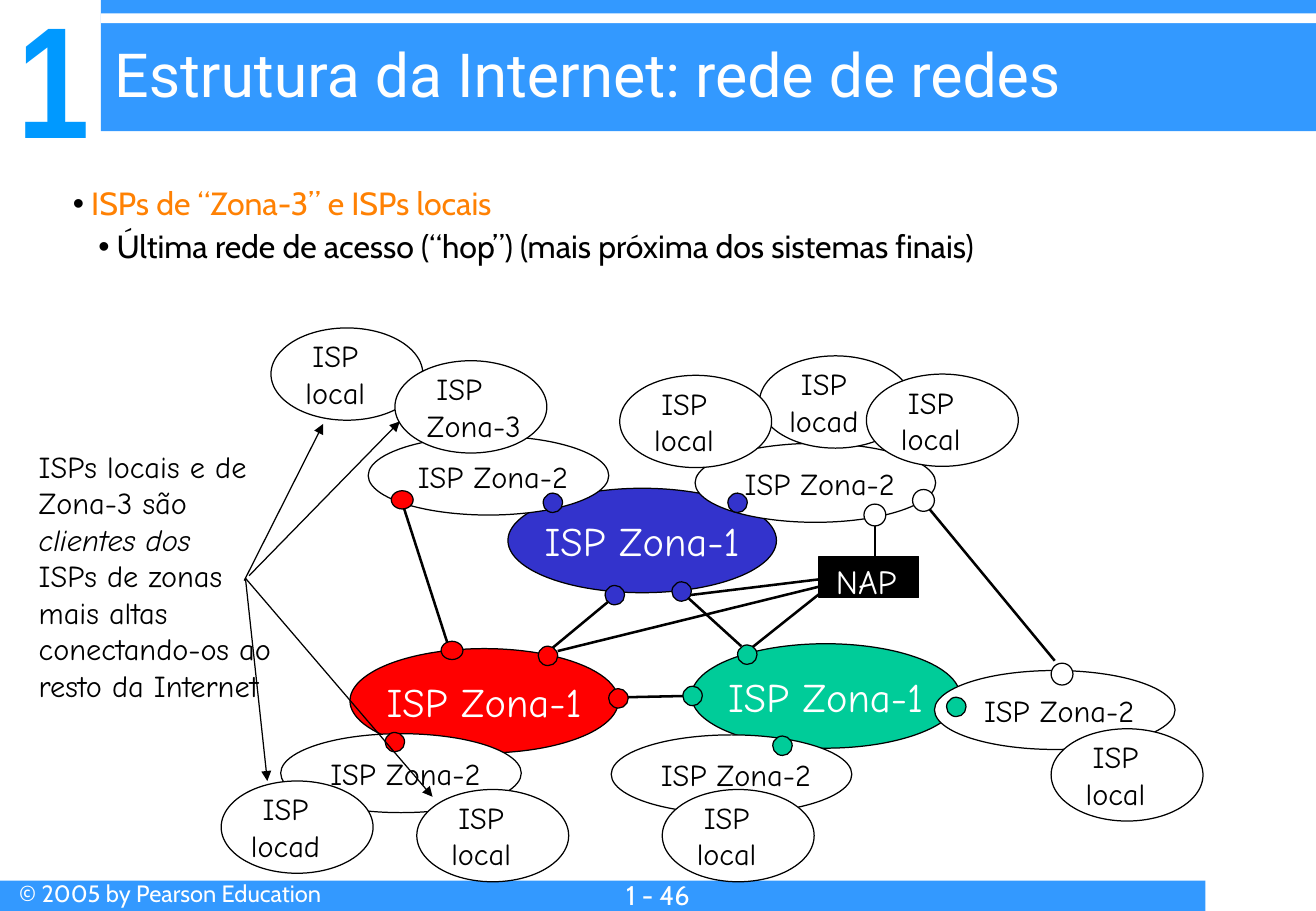
from lxml.etree import SubElement
from pptx import Presentation
from pptx.dml.color import RGBColor
from pptx.enum.shapes import MSO_CONNECTOR as Link, MSO_SHAPE as Kind
from pptx.enum.text import MSO_ANCHOR as Anchor, MSO_AUTO_SIZE as Fit, PP_ALIGN as Align
from pptx.oxml.ns import qn
from pptx.util import Inches, Pt

WHITE = RGBColor(0xFF, 0xFF, 0xFF)
BLACK = RGBColor(0, 0, 0)
SKY = RGBColor(0x33, 0x99, 0xFF)
AZURE = RGBColor(0, 0x99, 0xFF)
ORANGE = RGBColor(0xFF, 0x81, 0x03)
RED = RGBColor(0xFF, 0, 0)
BLUE = RGBColor(0x33, 0x33, 0xCC)
GREEN = RGBColor(0, 0xCC, 0x99)
COMIC = "Comic Neue"

# left, top, fill
CORES = [(2.88, 5.34, RED), (4.18, 4.02, BLUE), (5.69, 5.3, GREEN)]
# left, top
ZONES = [(5.72, 3.65), (3.03, 3.59), (2.31, 6.04), (5.03, 6.05), (7.69, 5.52)]
# left, top, width, height, fill
DOTS = [(x, y, 0.16, 0.16, hue) for x, y, hue in [
    (6.07, 5.31, GREEN), (5.53, 4.79, BLUE), (4.98, 4.82, BLUE),
    (4.43, 5.32, RED), (5.01, 5.67, RED), (5.62, 5.65, GREEN),
    (5.99, 4.06, BLUE), (4.47, 4.06, BLUE), (3.17, 6.03, RED),
    (6.36, 6.06, GREEN), (7.79, 5.74, GREEN)]]
DOTS += [(x, y, 0.18, 0.15, RED) for x, y in [(3.22, 4.04), (3.63, 5.28)]]
DOTS += [(x, y, 0.18, 0.18, WHITE) for x, y in [(7.51, 4.03), (8.65, 5.46), (7.11, 4.15)]]
# from x, y, to x, y
LINKS = [
    (5.17, 5.74, 5.63, 5.73), (5.66, 4.92, 6.1, 5.32), (4.54, 5.34, 5.01, 4.95),
    (6.78, 4.86, 6.19, 5.33), (6.74, 4.77, 5.67, 4.9), (6.74, 4.83, 4.59, 5.36),
    (3.32, 4.17, 3.7, 5.35), (7.64, 4.18, 8.68, 5.44)]
ARROWS = [
    (2.01, 4.78, 2.66, 3.49), (2.05, 4.74, 3.29, 3.47),
    (2.02, 4.76, 2.2, 6.43), (2.02, 4.76, 3.56, 6.56)]
# left, top, second line, its indent
LOCALS = [
    (6.25, 2.93, "locad", 0), (5.1, 3.09, "local", 0), (7.13, 3.08, "local", 0),
    (1.82, 6.43, "locad", 0), (2.23, 2.7, "local", 0), (3.25, 2.97, "Zona-3", 0.24),
    (3.43, 6.5, "local", 0), (5.45, 6.5, "local", 0), (8.65, 6, "local", 0)]


def style(font, size, face, hue, bold=False):
    font.size, font.name, font.bold = Pt(size), face, bold
    font.color.rgb = hue


def add_form(slide, kind, box, fill, edge=True):
    form = slide.shapes.add_shape(kind, *map(Inches, box))
    form.shadow.inherit = False
    form.fill.solid()
    form.fill.fore_color.rgb = fill
    if edge:
        form.line.color.rgb = BLACK
        form.line.width = Pt(0.75)
    else:
        form.line.fill.background()
    return form


def add_label(slide, box, lines, size, face, hue, align=Align.LEFT, bold=False):
    frame = slide.shapes.add_textbox(*map(Inches, box)).text_frame
    frame.word_wrap = True
    frame.text = "\n".join(lines)
    for para in frame.paragraphs:
        para.alignment = align
        style(para.font, size, face, hue, bold)
    return frame


def add_line(slide, ends, width, arrow=False):
    line = slide.shapes.add_connector(Link.STRAIGHT, *map(Inches, ends))
    line.line.color.rgb = BLACK
    line.line.width = Pt(width)
    props = line._element.spPr
    if arrow:
        SubElement(props.find(qn("a:ln")), qn("a:tailEnd"), type="triangle")
    SubElement(props, qn("a:effectLst"))


def place(shape, box):
    shape.left, shape.top, shape.width, shape.height = map(Inches, box)
    frame = shape.text_frame
    frame.auto_size = Fit.NONE
    frame.vertical_anchor = Anchor.TOP
    return frame


def add_bullet(para, margin):
    props = para._p.get_or_add_pPr()
    props.set("marL", str(Inches(margin)))
    props.set("indent", str(Inches(-0.15)))
    hue = SubElement(props, qn("a:buClr"))
    SubElement(hue, qn("a:srgbClr"), val=str(BLACK))
    SubElement(props, qn("a:buFont"), typeface="Arial")
    SubElement(props, qn("a:buChar"), char="•")


def add_frame(slide):
    # Header and footer bands
    for box, fill in [((0.83, 0, 10, 1.08), SKY), ((0.83, 0.11, 10, 0.08), WHITE),
                      ((0, 7.25, 9.92, 0.25), SKY)]:
        add_form(slide, Kind.RECTANGLE, box, fill, edge=False)
    # Chapter number
    frame = add_label(slide, (0.03, -0.17, 0.83, 1.57), ["1"], 94, "Arial Narrow", AZURE,
                      Align.CENTER, bold=True)
    frame.vertical_anchor = Anchor.BOTTOM
    frame.margin_left = frame.margin_right = frame.margin_top = frame.margin_bottom = 0
    # Footer text
    add_label(slide, (0.06, 7.19, 3.33, 0.34), ["© 2005 by Pearson Education"],
              14, "Cabin", WHITE)
    add_label(slide, (0, 7.18, 10.83, 0.5), ["1 - 46"], 16, "Cabin", WHITE, Align.CENTER)


def add_heads(slide):
    # Title, brought in front of the band
    title = slide.shapes.title
    frame = place(title, (0.84, 0.25, 9.99, 0.67))
    frame.text = "Estrutura da Internet: rede de redes"
    para = frame.paragraphs[0]
    para.alignment = Align.LEFT
    style(para.font, 36, "Roboto", WHITE)
    slide.shapes.element.append(title.element)
    # Bullet list
    frame = place(slide.placeholders[1], (0.5, 1.5, 10, 0.75))
    frame.text = ("ISPs de “Zona-3” e ISPs locais\n"
                  "Última rede de acesso (“hop”) (mais próxima dos sistemas finais)")
    for level, (para, hue) in enumerate(zip(frame.paragraphs, (ORANGE, BLACK))):
        para.level = level
        para.line_spacing = 0.9
        para.space_before = Pt(4.8 * level)
        add_bullet(para, 0.15 + 0.21 * level)
        style(para.font, 19, "Cabin", hue)


def add_nets(slide):
    # Zone 1 cores
    for x, y, fill in CORES:
        core = add_form(slide, Kind.OVAL, (x, y, 2.21, 0.86), fill)
        frame = core.text_frame
        frame.word_wrap = False
        frame.vertical_anchor = Anchor.MIDDLE
        frame.text = "ISP Zona-1"
        para = frame.paragraphs[0]
        para.alignment = Align.CENTER
        style(para.font, 24, COMIC, WHITE)
    # Zone 2 rings
    for x, y in ZONES:
        add_form(slide, Kind.OVAL, (x, y, 1.98, 0.65), WHITE)
        add_label(slide, (x + 0.31, y + 0.13, 1.65, 0.4), ["ISP Zona-2"], 18, COMIC, BLACK)
    # Links and their end points
    for ends in LINKS:
        add_line(slide, ends, 1.5)
    add_line(slide, (7.2, 4.32, 7.2, 4.58), 0.75)
    for *box, fill in DOTS:
        add_form(slide, Kind.OVAL, box, fill)
    # Access point
    add_form(slide, Kind.RECTANGLE, (6.74, 4.58, 0.82, 0.34), BLACK)
    add_label(slide, (6.78, 4.57, 0.78, 0.44), ["NAP"], 20, COMIC, WHITE)
    # Local providers
    for x, y, name, indent in LOCALS:
        add_form(slide, Kind.OVAL, (x, y, 1.25, 0.76), WHITE)
        frame = add_label(slide, (x - 0.22, y + 0.03, 1.5, 0.7), ["ISP", name], 18, COMIC,
                          BLACK, Align.CENTER)
        if indent:
            frame.paragraphs[1]._p.get_or_add_pPr().set("marL", str(Inches(indent)))


def add_note(slide):
    lines = ["ISPs locais e de Zona-3 são ", "ISPs de zonas mais altas",
             "conectando-os ao resto da Internet"]
    frame = add_label(slide, (0.22, 3.64, 2.13, 2.2), lines, 18, COMIC, BLACK)
    run = frame.paragraphs[0].add_run()
    run.text = "clientes dos"
    run.font.italic = True
    for ends in ARROWS:
        add_line(slide, ends, 0.75, arrow=True)


def main():
    deck = Presentation()
    deck.slide_width, deck.slide_height = Inches(10.83), Inches(7.5)
    slide = deck.slides.add_slide(deck.slide_layouts[1])
    add_frame(slide)
    add_heads(slide)
    add_nets(slide)
    add_note(slide)
    deck.save("out.pptx")


if __name__ == "__main__":
    main()
